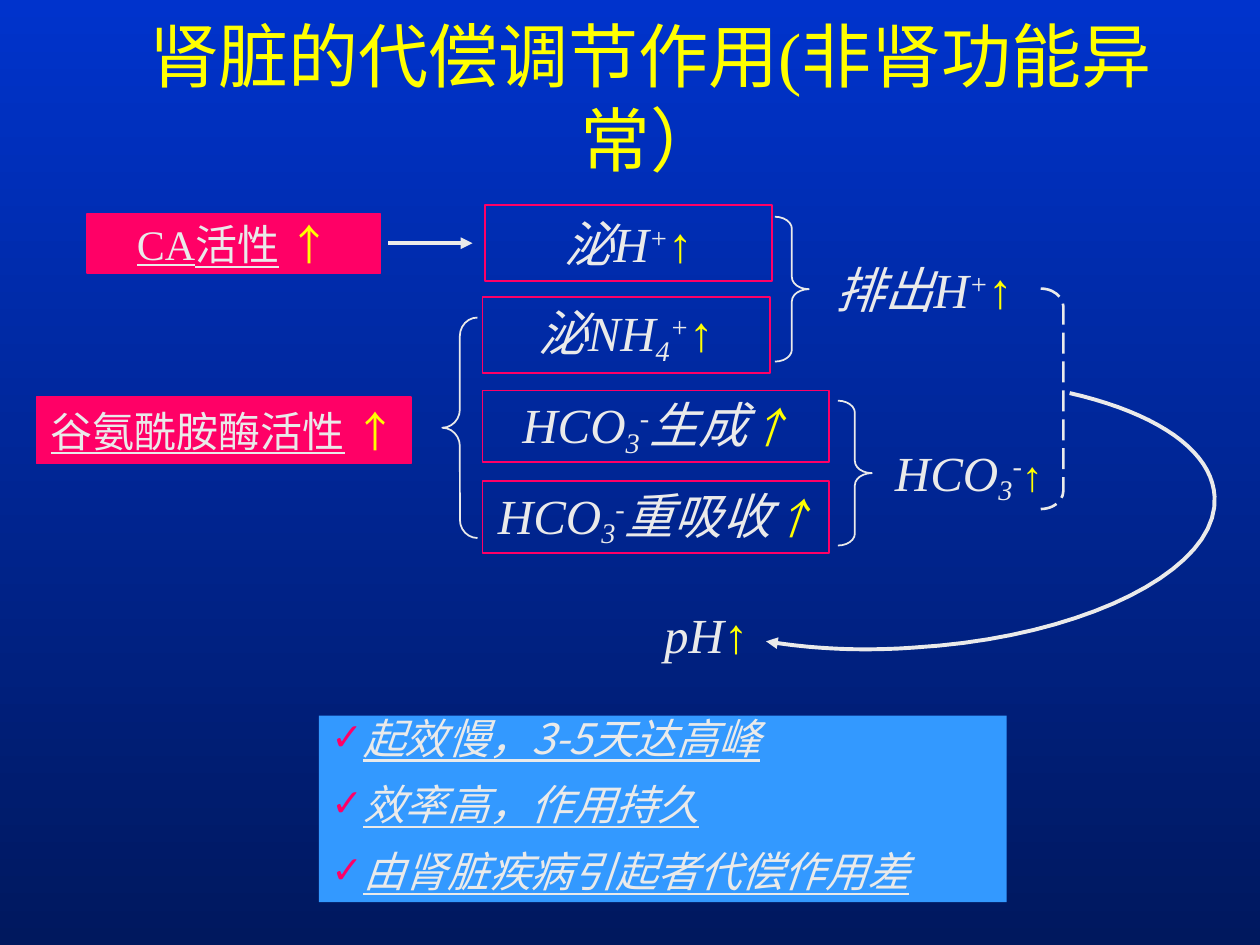
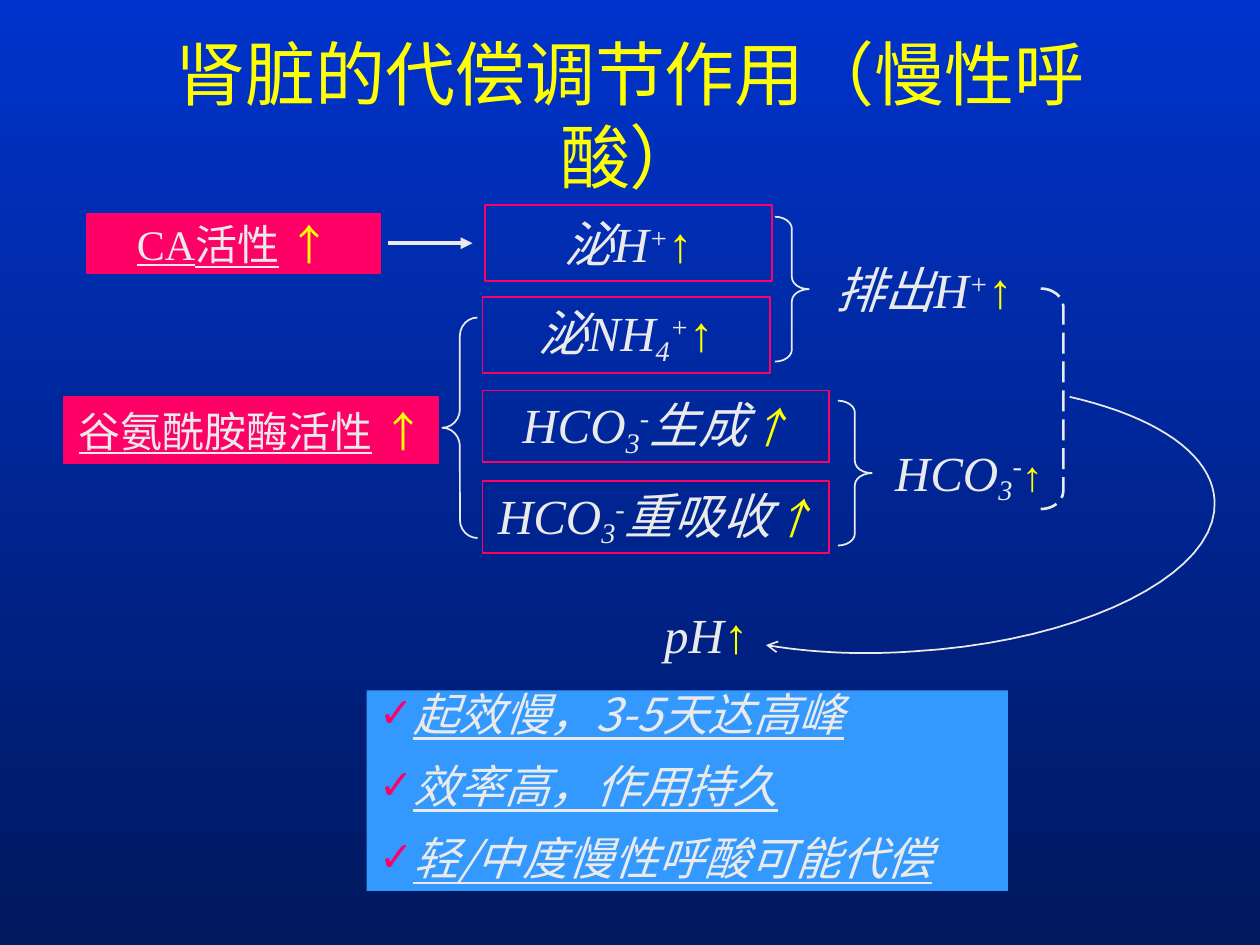
from dataclasses import dataclass
from typing import NamedTuple

from pptx import Presentation
from pptx.dml.color import RGBColor
from pptx.enum.dml import MSO_LINE
from pptx.enum.shapes import MSO_CONNECTOR, MSO_SHAPE
from pptx.enum.text import MSO_ANCHOR, MSO_AUTO_SIZE, PP_ALIGN
from pptx.oxml.ns import qn
from pptx.util import Inches, Pt
from lxml.etree import SubElement

COLORS = {
    "sky": "0033CC",
    "deep": "00185E",
    "title": "FFFF00",
    "text": "EAEAEA",
    "accent": "FF0066",
    "panel": "3399FF",
}
SERIF = "Times New Roman"
SANS = "Noto Sans CJK SC"
CURVE_STEPS = 20


class Place(NamedTuple):
    left: float
    top: float
    width: float
    height: float


class Point(NamedTuple):
    x: float
    y: float


@dataclass(frozen=True)
class Span:
    text: str
    size: float = 28
    color: str = "text"
    italic: bool = True
    underline: bool = False
    baseline: int = 0
    font: str = SERIF


@dataclass(frozen=True)
class Label:
    place: Place
    spans: tuple[Span, ...]
    fill: str | None = None
    line: str | None = None


@dataclass(frozen=True)
class Bracket:
    kind: MSO_SHAPE
    place: Place
    weight: float = 1
    dash: MSO_LINE | None = None


@dataclass(frozen=True)
class Page:
    title: str
    title_place: Place
    enzyme_left: float
    curve_top: float
    curve_weight: float
    curve_head: str
    panel_place: Place
    panel_size: float
    panel_items: tuple[str, ...]


UP = Span("↑", color="title")
SMALL_UP = Span("↑", 24, "title")
PLUS = Span("+", baseline=30)
BICARBONATE = (Span("HCO"), Span("3", baseline=-20), Span("-", baseline=30))


def enzyme(name: str) -> tuple[Span, ...]:
    return (
        Span(name, 24, italic=False, underline=True),
        Span(" ", 24, italic=False),
        Span("↑", 24, "title", italic=False),
    )


LABELS = (
    Label(Place(4.47, 4.67, 2.27, 0.73), (Span("pH"), UP)),
    Label(Place(6.53, 1.98, 1.61, 0.63), (Span("排出H"), PLUS, UP)),
    Label(Place(6.88, 3.48, 1.62, 0.57), (*BICARBONATE, SMALL_UP)),
    Label(Place(3.85, 1.63, 2.28, 0.6), (Span("泌H"), PLUS, UP), line="accent"),
    Label(Place(3.83, 2.36, 2.28, 0.6),
          (Span("泌NH"), Span("4", baseline=-20), PLUS, UP), line="accent"),
    Label(Place(3.83, 3.1, 2.75, 0.57),
          (*BICARBONATE, Span("生成"), SMALL_UP), line="accent"),
    Label(Place(3.83, 3.82, 2.75, 0.57),
          (*BICARBONATE, Span("重吸收"), SMALL_UP), line="accent"),
    Label(Place(0.69, 1.7, 2.33, 0.47), enzyme("CA活性"), "accent", "accent"),
)

BRACKETS = (
    Bracket(MSO_SHAPE.LEFT_BRACE, Place(3.51, 2.52, 0.28, 1.75)),
    Bracket(MSO_SHAPE.RIGHT_BRACE, Place(6.15, 1.72, 0.27, 1.15)),
    Bracket(MSO_SHAPE.RIGHT_BRACE, Place(6.65, 3.18, 0.27, 1.15)),
    Bracket(MSO_SHAPE.RIGHT_BRACKET, Place(8.26, 2.29, 0.18, 1.75), 1.5, MSO_LINE.LONG_DASH),
)

# Bezier points of the feedback curve; y is measured from its starting point
FEEDBACK = (
    Point(8.49, 0), Point(9.19, 0.16), Point(9.62, 0.46), Point(9.64, 0.82),
    Point(9.68, 1.4), Point(8.61, 1.94), Point(7.25, 2.02),
    Point(6.84, 2.05), Point(6.44, 2.03), Point(6.08, 1.97),
)

PAGES = (
    Page("肾脏的代偿调节作用(非肾功能异常）", Place(0.75, 0.14, 8.82, 1.25),
         0.29, 3.12, 2.25, "triangle", Place(2.53, 5.68, 5.46, 1.48), 24,
         ("起效慢，3-5天达高峰", "效率高，作用持久", "由肾脏疾病引起者代偿作用差")),
    Page("肾脏的代偿调节作用（慢性呼酸）", Place(0.75, 0.28, 8.5, 1.25),
         0.51, 3.15, 1, "arrow", Place(2.91, 5.48, 5.09, 1.59), 26,
         ("起效慢，3-5天达高峰", "效率高，作用持久", "轻/中度慢性呼酸可能代偿")),
)


def rgb(name: str) -> RGBColor:
    return RGBColor.from_string(COLORS[name])


def inches(values: Place | Point) -> list[Inches]:
    return [Inches(value) for value in values]


def apply(target, formats: dict) -> None:
    for name, value in formats.items():
        setattr(target, name, value)


def move(shape, place: Place) -> None:
    apply(shape, dict(zip(Place._fields, inches(place))))


def add_span(para, span: Span) -> None:
    run = para.add_run()
    run.text = span.text
    apply(run.font, {
        "name": span.font,
        "size": Pt(span.size),
        "italic": span.italic,
        "underline": span.underline,
    })
    run.font.color.rgb = rgb(span.color)
    properties = run.font._element
    SubElement(properties, qn("a:ea")).set("typeface", SANS)
    if span.baseline:
        properties.set("baseline", str(span.baseline * 1000))


def set_line(shape, color: str, weight: float, head: str | None = None) -> None:
    shape.line.color.rgb = rgb(color)
    shape.line.width = Pt(weight)
    if head:
        SubElement(shape.line._get_or_add_ln(), qn("a:tailEnd")).set("type", head)


def add_label(page, label: Label) -> None:
    if label.line:
        box = page.shapes.add_shape(MSO_SHAPE.RECTANGLE, *inches(label.place))
        box.shadow.inherit = False
        set_line(box, label.line, 1)
    else:
        box = page.shapes.add_textbox(*inches(label.place))
    if label.fill:
        box.fill.solid()
        box.fill.fore_color.rgb = rgb(label.fill)
    else:
        box.fill.background()
    apply(box.text_frame, {
        "word_wrap": False,
        "vertical_anchor": MSO_ANCHOR.MIDDLE,
        "margin_left": Inches(0),
        "margin_right": Inches(0),
    })
    para = box.text_frame.paragraphs[0]
    para.alignment = PP_ALIGN.CENTER
    for span in label.spans:
        add_span(para, span)


def add_bracket(page, bracket: Bracket) -> None:
    shape = page.shapes.add_shape(bracket.kind, *inches(bracket.place))
    shape.shadow.inherit = False
    shape.fill.background()
    shape.adjustments[0] = bracket.place.height / 12 / bracket.place.width
    set_line(shape, "text", bracket.weight)
    if bracket.dash:
        shape.line.dash_style = bracket.dash


def add_arrow(page, start: Point, end: Point) -> None:
    arrow = page.shapes.add_connector(
        MSO_CONNECTOR.STRAIGHT, *inches(start), *inches(end))
    set_line(arrow, "text", 2.25, "triangle")
    SubElement(arrow._element.spPr, qn("a:effectLst"))


def bezier_point(controls: tuple[Point, ...], t: float) -> Point:
    weights = ((1 - t) ** 3, 3 * t * (1 - t) ** 2, 3 * t ** 2 * (1 - t), t ** 3)
    return Point(*(sum(w * value for w, value in zip(weights, axis))
                   for axis in zip(*controls)))


def add_feedback_curve(page, content: Page) -> None:
    controls = tuple(Point(p.x, p.y + content.curve_top) for p in FEEDBACK)
    points = [
        inches(bezier_point(controls[first:first + 4], step / CURVE_STEPS))
        for first in range(0, len(controls) - 1, 3)
        for step in range(1, CURVE_STEPS + 1)
    ]
    builder = page.shapes.build_freeform(*inches(controls[0]))
    builder.add_line_segments(points, close=False)
    curve = builder.convert_to_shape()
    curve.shadow.inherit = False
    curve.fill.background()
    set_line(curve, "text", content.curve_weight, content.curve_head)


def fill_title(page, content: Page) -> None:
    title = page.shapes.title
    move(title, content.title_place)
    apply(title.text_frame, {
        "word_wrap": True,
        "auto_size": MSO_AUTO_SIZE.NONE,
        "vertical_anchor": MSO_ANCHOR.MIDDLE,
    })
    para = title.text_frame.paragraphs[0]
    para.alignment = PP_ALIGN.CENTER
    add_span(para, Span(content.title, 40, "title", italic=False))


def add_check_bullet(para) -> None:
    properties = para._p.get_or_add_pPr()
    for name in ("marL", "indent"):
        properties.set(name, "0")
    color = SubElement(properties, qn("a:buClr"))
    SubElement(color, qn("a:srgbClr")).set("val", COLORS["accent"])
    SubElement(properties, qn("a:buSzPct")).set("val", "90000")
    SubElement(properties, qn("a:buChar")).set("char", "✓")


def fill_panel(page, content: Page) -> None:
    panel = page.placeholders[1]
    move(panel, content.panel_place)
    panel.fill.solid()
    panel.fill.fore_color.rgb = rgb("panel")
    frame = panel.text_frame
    apply(frame, {"word_wrap": True, "auto_size": MSO_AUTO_SIZE.NONE})
    for index, item in enumerate(content.panel_items):
        para = frame.add_paragraph() if index else frame.paragraphs[0]
        add_check_bullet(para)
        apply(para, {
            "line_spacing": 0.8,
            "space_before": Pt(content.panel_size * 0.625 if index else 0),
        })
        add_span(para, Span(item, content.panel_size, underline=True, font=SANS))


def set_background(master) -> None:
    fill = master.background.fill
    fill.gradient()
    fill.gradient_angle = 270
    for stop, name in zip(fill.gradient_stops, ("sky", "deep")):
        stop.color.rgb = rgb(name)


def add_page(deck, content: Page) -> None:
    page = deck.slides.add_slide(deck.slide_layouts[1])
    fill_title(page, content)
    glutaminase = Label(Place(content.enzyme_left, 3.15, 2.97, 0.53),
                        enzyme("谷氨酰胺酶活性"), "accent", "accent")
    for label in (*LABELS, glutaminase):
        add_label(page, label)
    for bracket in BRACKETS:
        add_bracket(page, bracket)
    add_arrow(page, Point(3.08, 1.93), Point(3.75, 1.93))
    add_feedback_curve(page, content)
    fill_panel(page, content)


def main() -> None:
    deck = Presentation()
    apply(deck, {"slide_width": Inches(10), "slide_height": Inches(7.5)})
    set_background(deck.slide_master)
    for content in PAGES:
        add_page(deck, content)
    deck.save("out.pptx")


if __name__ == "__main__":
    main()
